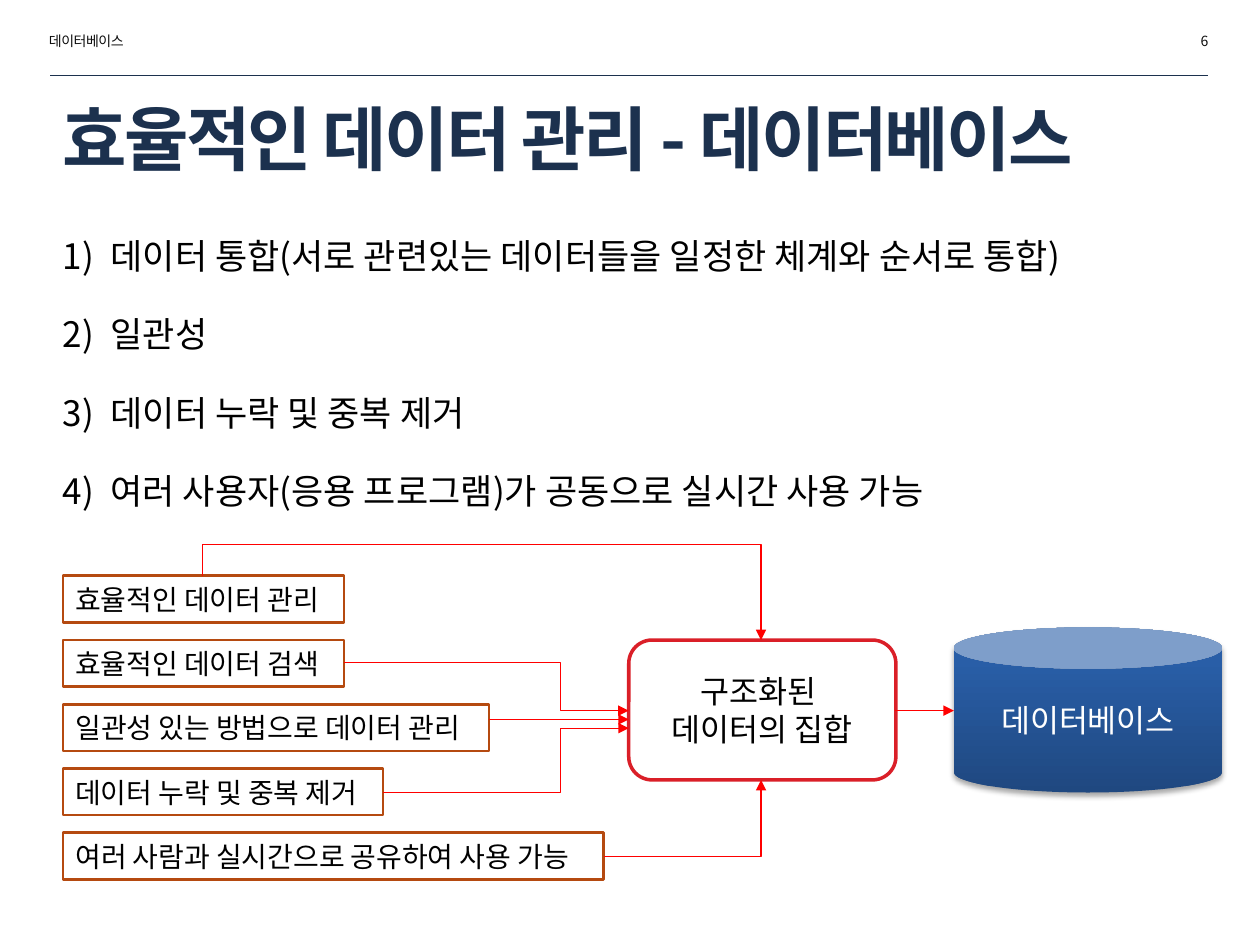
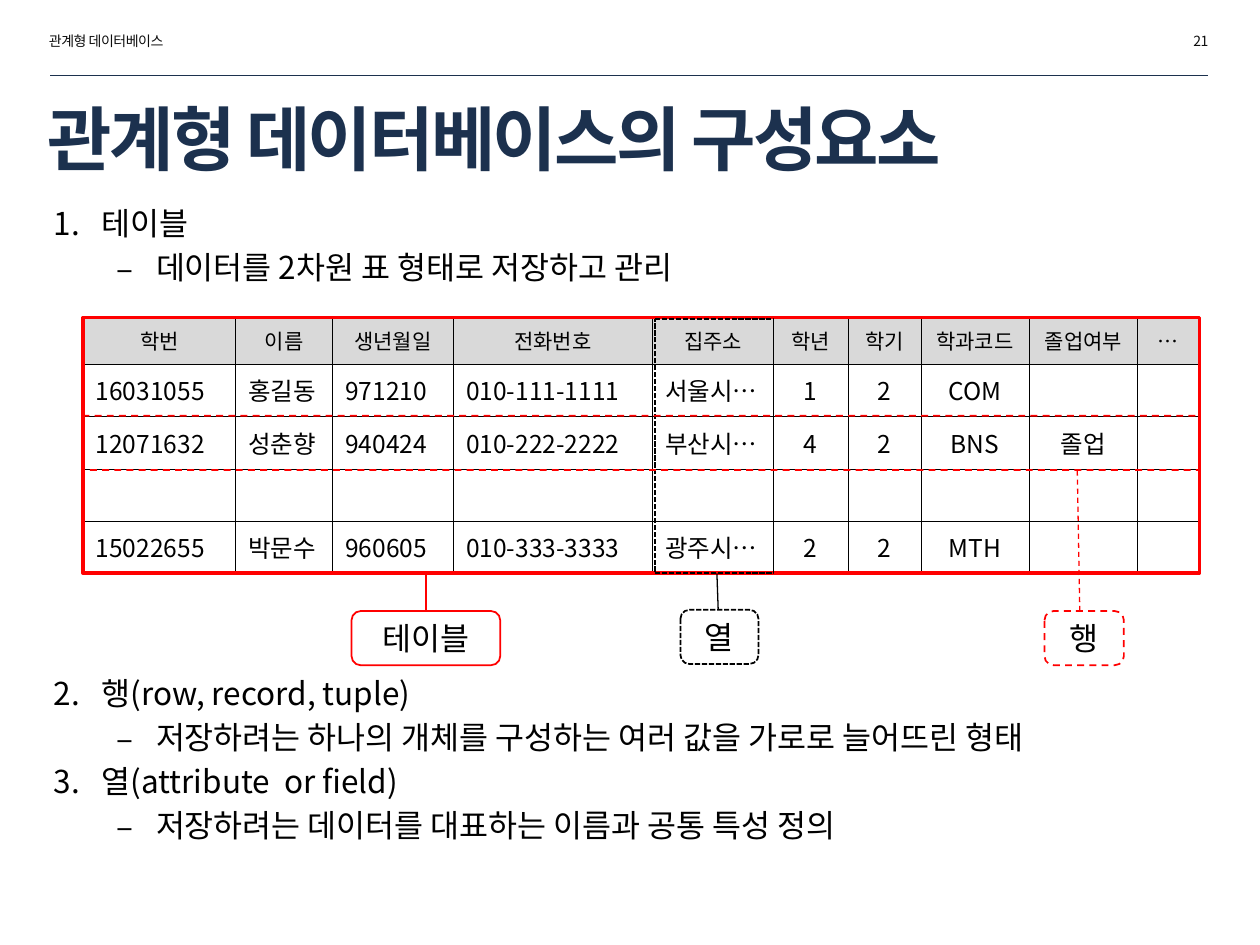
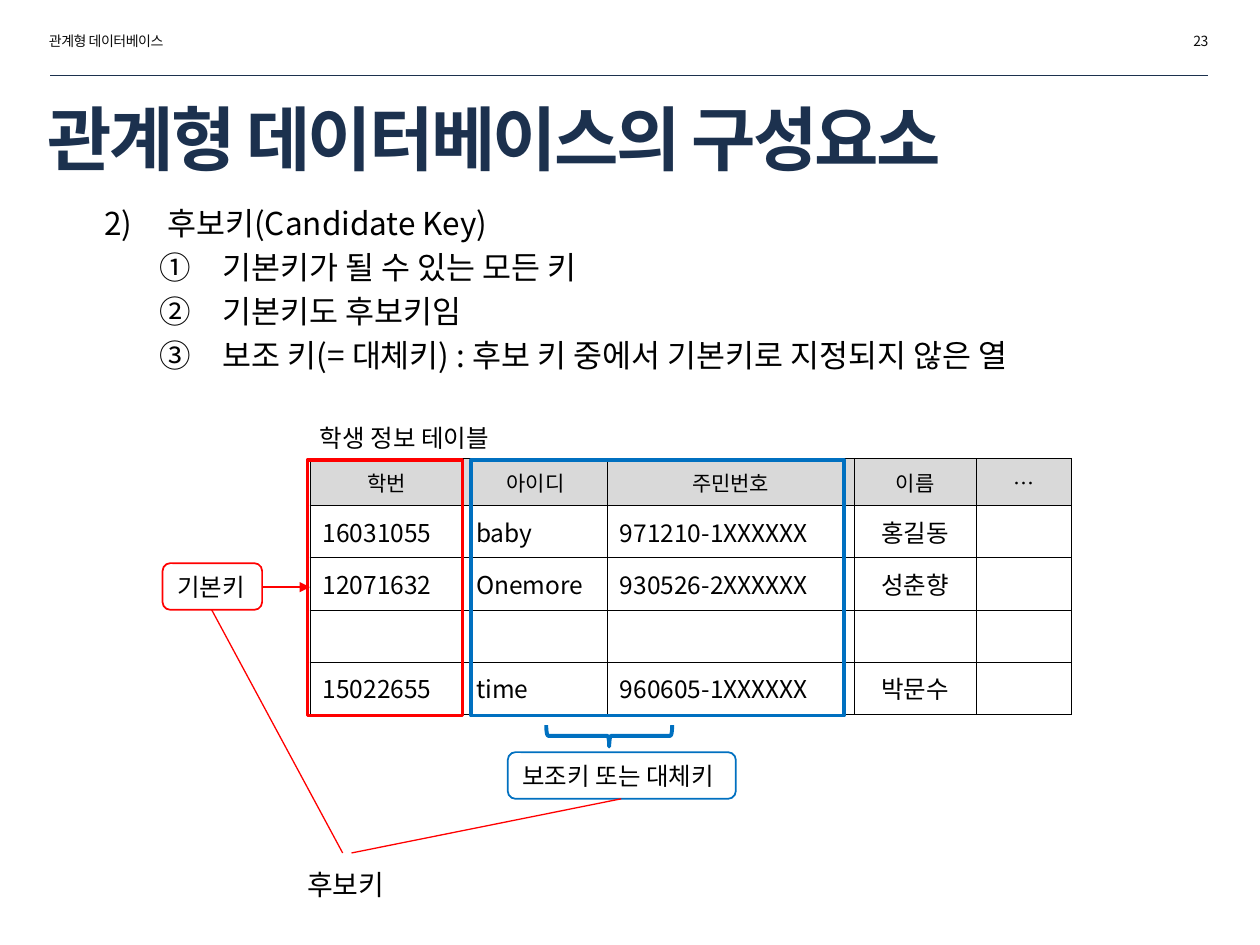
from dataclasses import dataclass

from lxml import etree
from pptx import Presentation
from pptx.dml.color import RGBColor
from pptx.enum.dml import MSO_LINE
from pptx.enum.shapes import MSO_CONNECTOR, MSO_SHAPE
from pptx.enum.text import MSO_ANCHOR, PP_ALIGN
from pptx.oxml.ns import qn
from pptx.util import Emu, Pt

PX = 9144
LEFT, CENTER, RIGHT = PP_ALIGN.LEFT, PP_ALIGN.CENTER, PP_ALIGN.RIGHT
TOP, MIDDLE = MSO_ANCHOR.TOP, MSO_ANCHOR.MIDDLE
RECT, ROUND, CAN, BRACE = (MSO_SHAPE.RECTANGLE, MSO_SHAPE.ROUNDED_RECTANGLE,
                           MSO_SHAPE.CAN, MSO_SHAPE.RIGHT_BRACE)
STRAIGHT, ELBOW = MSO_CONNECTOR.STRAIGHT, MSO_CONNECTOR.ELBOW
DASH, FINE_DASH = MSO_LINE.DASH, MSO_LINE.SQUARE_DOT


@dataclass(frozen=True)
class Theme:
    font: str = "Noto Sans CJK KR"
    navy: str = "1C314E"
    ink: str = "0D0D0D"
    black: str = "000000"
    white: str = "FFFFFF"
    red: str = "FF0000"
    crimson: str = "DA1F28"
    rust: str = "B54A10"
    blue: str = "0070C0"
    gray: str = "D9D9D9"
    can_stops: tuple = ((0, "1F4880"), (80, "295EA7"), (100, "265EAA"))
    title: int = 40
    lead: int = 20
    body: int = 18
    label: int = 16
    cell: int = 14
    head: int = 12
    small: int = 8


THEME = Theme()


@dataclass(frozen=True)
class Level:
    depth: int
    margin: int
    hanging: int
    bullet: str


NUMBER_PAREN = Level(0, 38, 38, "arabicParenR")
NUMBER_DOT = Level(0, 38, 38, "arabicPeriod")
DASHED = Level(1, 81, 31, "–")
KEY_NUMBER = Level(1, 94, 50, "arabicParenR")
CIRCLED = Level(2, 138, 50, "circleNumDbPlain")


def px(value):
    return Emu(round(value * PX))


def rgb(code):
    return RGBColor.from_string(code)


def add_xml(parent, tag, **attributes):
    node = etree.SubElement(parent, qn(tag))
    for name, value in attributes.items():
        node.set(name, str(value))
    return node


class Deck:
    def __init__(self, theme):
        self.theme = theme
        self.deck = Presentation()
        self.deck.slide_width, self.deck.slide_height = px(1000), px(750)
        self.page = None

    def add_page(self, chapter, number, title, title_box):
        theme = self.theme
        self.page = self.deck.slides.add_slide(self.deck.slide_layouts[6])
        header = dict(size=theme.small, color=theme.ink, spacing=-30)
        self.text((29, 21, 173, 24), chapter, **header)
        self.line((40, 60), (959, 60), theme.navy, 0.25)
        self.text(title_box, title, theme.title, theme.navy, anchor=MIDDLE,
                  bold=True, spacing=-150)
        self.text((796, 21, 173, 24), number, align=RIGHT, **header)

    def span(self, para, text, size, color, bold=False, spacing=0):
        span = para.add_run()
        span.text = text
        span.font.size, span.font.bold = Pt(size), bold
        span.font.color.rgb = rgb(color)
        span.font.name = self.theme.font
        properties = span.font._element
        add_xml(properties, "a:ea", typeface=self.theme.font)
        if spacing:
            properties.set("spc", str(spacing))

    def fill_text(self, frame, text, size, color, align=LEFT, anchor=TOP,
                  **style):
        frame.word_wrap = True
        frame.vertical_anchor = anchor
        para = frame.paragraphs[0]
        para.alignment = align
        for index, part in enumerate(text.split("\n")):
            if index:
                para.add_line_break()
            self.span(para, part, size, color, **style)

    def text(self, box, text, size, color=THEME.black, **style):
        frame = self.page.shapes.add_textbox(*map(px, box)).text_frame
        self.fill_text(frame, text, size, color, **style)

    def outline(self, item, color, weight, dash=None):
        item.line.color.rgb = rgb(color)
        item.line.width = Pt(weight)
        if dash:
            item.line.dash_style = dash

    def shape(self, kind, box, color=None, weight=1, dash=None, fill=None,
              corner=None, turn=0):
        shape = self.page.shapes.add_shape(kind, *map(px, box))
        shape.shadow.inherit = False
        shape.rotation = turn
        if fill:
            shape.fill.solid()
            shape.fill.fore_color.rgb = rgb(fill)
        else:
            shape.fill.background()
        if color:
            self.outline(shape, color, weight, dash)
        else:
            shape.line.fill.background()
        if corner is not None:
            shape.adjustments[0] = corner
        return shape

    def label(self, kind, box, text, size, color, weight=1, align=CENTER,
              ink=THEME.black, **look):
        shape = self.shape(kind, box, color, weight, **look)
        self.fill_text(shape.text_frame, text, size, ink, align, MIDDLE)
        return shape

    def can(self, box, text):
        theme = self.theme
        shape = self.label(CAN, box, text, theme.body, None, ink=theme.white)
        shape.fill.gradient()
        shape.fill.gradient_angle = 90
        properties = shape.element.spPr
        stops = properties.find(".//" + qn("a:gsLst"))
        for stop in list(stops):
            stops.remove(stop)
        for position, color in theme.can_stops:
            stop = add_xml(stops, "a:gs", pos=position * 1000)
            add_xml(stop, "a:srgbClr", val=color)
        shadow = add_xml(properties.find(qn("a:effectLst")), "a:outerShdw",
                         blurRad=Pt(3.1), dist=Pt(1.8), dir=5400000,
                         rotWithShape=0)
        shade = add_xml(shadow, "a:srgbClr", val=theme.black)
        add_xml(shade, "a:alpha", val=35000)

    def line(self, start, end, color=THEME.red, weight=0.75, dash=None,
             arrow=False, kind=STRAIGHT):
        line = self.page.shapes.add_connector(kind, *map(px, start + end))
        self.outline(line, color, weight, dash)
        properties = line.element.spPr
        if arrow:
            add_xml(properties.find(qn("a:ln")), "a:tailEnd", type="triangle")
        add_xml(properties, "a:effectLst")
        return line

    def elbow(self, start, end, bend=None, turn=0):
        line = self.line(start, end, arrow=True, kind=ELBOW)
        properties = line.element.spPr
        if turn:
            properties.find(qn("a:xfrm")).set("rot", str(turn * 60000))
        geometry = properties.find(qn("a:prstGeom"))
        if bend is None:
            geometry.set("prst", "bentConnector2")
            return
        guides = geometry.find(qn("a:avLst"))
        if guides is None:
            guides = add_xml(geometry, "a:avLst")
        add_xml(guides, "a:gd", name="adj1", fmla=f"val {round(bend * 100000)}")

    def bullets(self, box, items, size, line_spacing=None):
        frame = self.page.shapes.add_textbox(*map(px, box)).text_frame
        frame.word_wrap = True
        for index, (level, text, *start) in enumerate(items):
            para = frame.add_paragraph() if index else frame.paragraphs[0]
            para.level = level.depth
            para.space_before = Pt(size * 0.2)
            if line_spacing:
                para.line_spacing = line_spacing
            properties = para._p.get_or_add_pPr()
            properties.set("marL", str(px(level.margin)))
            properties.set("indent", str(px(-level.hanging)))
            add_xml(properties, "a:buFont", typeface=self.theme.font)
            if len(level.bullet) == 1:
                add_xml(properties, "a:buChar", char=level.bullet)
            else:
                number = add_xml(properties, "a:buAutoNum", type=level.bullet)
                if start:
                    number.set("startAt", str(start[0]))
            self.span(para, text, size, self.theme.black)

    def table(self, box, widths, rows, centered_from):
        theme = self.theme
        head_height = 37
        table = self.page.shapes.add_table(
            len(rows), len(widths), *map(px, box)).table
        table.first_row = table.horz_banding = False
        for column, width in zip(table.columns, widths):
            column.width = px(width)
        row_height = (box[3] - head_height) / (len(rows) - 1)
        for r, values in enumerate(rows):
            table.rows[r].height = px(row_height if r else head_height)
            for c in range(len(widths)):
                align = CENTER if r == 0 or c >= centered_from else LEFT
                self.cell(table.cell(r, c), values[c] if c < len(values) else "",
                          theme.cell if r else theme.head, align, r == 0)

    def cell(self, cell, text, size, align, is_head):
        if text:
            self.fill_text(cell.text_frame, text, size, self.theme.black, align)
        else:
            add_xml(cell.text_frame.paragraphs[0]._p, "a:endParaRPr",
                    sz=size * 100)
        cell.vertical_anchor = MIDDLE
        properties = cell._tc.get_or_add_tcPr()
        for side in ("a:lnL", "a:lnR", "a:lnT", "a:lnB"):
            border = add_xml(properties, side, w=Pt(0.25))
            add_xml(add_xml(border, "a:solidFill"), "a:srgbClr",
                    val=self.theme.black)
        if is_head:
            cell.fill.solid()
            cell.fill.fore_color.rgb = rgb(self.theme.gray)
        else:
            cell.fill.background()


def build_management(deck):
    theme = deck.theme
    deck.add_page("데이터베이스", "6", "효율적인 데이터 관리 - 데이터베이스",
                  (40, 77, 919, 64))
    deck.bullets((40, 158, 919, 250), [
        (NUMBER_PAREN, "데이터 통합(서로 관련있는 데이터들을 일정한 체계와 순서로 통합)"),
        (NUMBER_PAREN, "일관성"),
        (NUMBER_PAREN, "데이터 누락 및 중복 제거"),
        (NUMBER_PAREN, "여러 사용자(응용 프로그램)가 공동으로 실시간 사용 가능"),
    ], theme.lead, 1.7)
    deck.can((757, 498, 213, 131), "데이터베이스")
    deck.label(ROUND, (499, 508, 212, 111), "구조화된 \n데이터의 집합",
               theme.body, theme.crimson, 2, fill=theme.white)
    needs = [("효율적인 데이터 관리", 223), ("효율적인 데이터 검색", 223),
             ("일관성 있는 방법으로 데이터 관리", 338),
             ("데이터 누락 및 중복 제거", 254),
             ("여러 사람과 실시간으로 공유하여 사용 가능", 429)]
    for index, (need, width) in enumerate(needs):
        deck.label(RECT, (50, 457 + 51 * index, width, 37), need,
                   theme.label, theme.rust, 1.5, LEFT)
    deck.elbow((408, 261), (357, 704), -0.486, 270)
    deck.elbow((273, 526), (499, 564), 0.76)
    deck.elbow((304, 629), (499, 578), 0.722)
    deck.elbow((479, 680), (604, 619))
    deck.line((388, 571), (499, 571), arrow=True)
    deck.line((710, 564), (757, 564), arrow=True)


def build_components(deck):
    theme = deck.theme
    deck.add_page("관계형 데이터베이스", "21", "관계형 데이터베이스의 구성요소",
                  (28, 77, 765, 64))
    deck.bullets((33, 157, 952, 79), [
        (NUMBER_DOT, "테이블"),
        (DASHED, "데이터를 2차원 표 형태로 저장하고 관리"),
    ], theme.body)
    table_box = (66, 252, 886, 203)
    deck.table(table_box, (121, 77, 96, 158, 96, 59, 58, 86, 86, 48), [
        ("학번", "이름", "생년월일", "전화번호", "집주소", "학년", "학기",
         "학과코드", "졸업여부", "…"),
        ("16031055", "홍길동", "971210", "010-111-1111", "서울시…", "1", "2", "COM"),
        ("12071632", "성춘향", "940424", "010-222-2222", "부산시…", "4", "2", "BNS",
         "졸업"),
        (),
        ("15022655", "박문수", "960605", "010-333-3333", "광주시…", "2", "2", "MTH"),
    ], 5)
    deck.shape(RECT, table_box, theme.red, 2)
    for name, box, color, dash in (
            ("테이블", (279, 485, 118, 43), theme.red, None),
            ("열", (540, 484, 62, 43), theme.black, FINE_DASH),
            ("행", (829, 485, 63, 43), theme.red, DASH)):
        deck.label(ROUND, box, name, theme.body, color, dash=dash)
    deck.shape(ROUND, (520, 253, 94, 202), theme.black, dash=FINE_DASH, corner=0)
    deck.line((570, 484), (569, 455), theme.black)
    deck.shape(ROUND, (66, 330, 886, 43), theme.red, dash=DASH, corner=0.02)
    deck.line((857, 485), (855, 374), dash=DASH)
    deck.line((338, 485), (338, 455), weight=1)
    deck.bullets((33, 530, 952, 174), [
        (NUMBER_DOT, "행(row, record, tuple)", 2),
        (DASHED, "저장하려는 하나의 개체를 구성하는 여러 값을 가로로 늘어뜨린 형태"),
        (NUMBER_DOT, "열(attribute  or field)", 3),
        (DASHED, "저장하려는 데이터를 대표하는 이름과 공통 특성 정의"),
    ], theme.body)


def build_candidate_key(deck):
    theme = deck.theme
    deck.add_page("관계형 데이터베이스", "23", "관계형 데이터베이스의 구성요소",
                  (28, 77, 765, 64))
    deck.bullets((29, 157, 952, 525), [
        (KEY_NUMBER, "후보키(Candidate Key)", 2),
        (CIRCLED, "기본키가 될 수 있는 모든 키"),
        (CIRCLED, "기본키도 후보키임"),
        (CIRCLED, "보조 키(= 대체키) : 후보 키 중에서 기본키로 지정되지 않은 열"),
    ], theme.body)
    deck.table((246, 364, 604, 203), (122, 114, 196, 97, 75), [
        ("학번", "아이디", "주민번호", "이름", "…"),
        ("16031055", "baby", "971210-1XXXXXX", "홍길동"),
        ("12071632", "Onemore", "930526-2XXXXXX", "성춘향"),
        (),
        ("15022655", "time", "960605-1XXXXXX", "박문수"),
    ], 3)
    deck.shape(RECT, (244, 365, 123, 203), theme.red, 2)
    deck.label(ROUND, (129, 447, 79, 37), "기본키", theme.cell, theme.red,
               align=LEFT)
    deck.line((208, 466), (246, 466), arrow=True)
    deck.shape(RECT, (374, 365, 296, 203), theme.blue, 2)
    deck.shape(BRACE, (475, 534, 17, 100), theme.blue, 2.25, turn=90)
    deck.label(ROUND, (403, 597, 181, 37), "보조키 또는 대체키", theme.cell,
               theme.blue, align=LEFT)
    deck.line((168, 484), (272, 677))
    deck.line((493, 634), (279, 677))
    deck.text((234, 684, 89, 37), "후보키", theme.label)
    deck.text((244, 331, 209, 34), "학생 정보 테이블", theme.cell)


def main():
    deck = Deck(THEME)
    build_management(deck)
    build_components(deck)
    build_candidate_key(deck)
    deck.deck.save("out.pptx")


if __name__ == "__main__":
    main()
